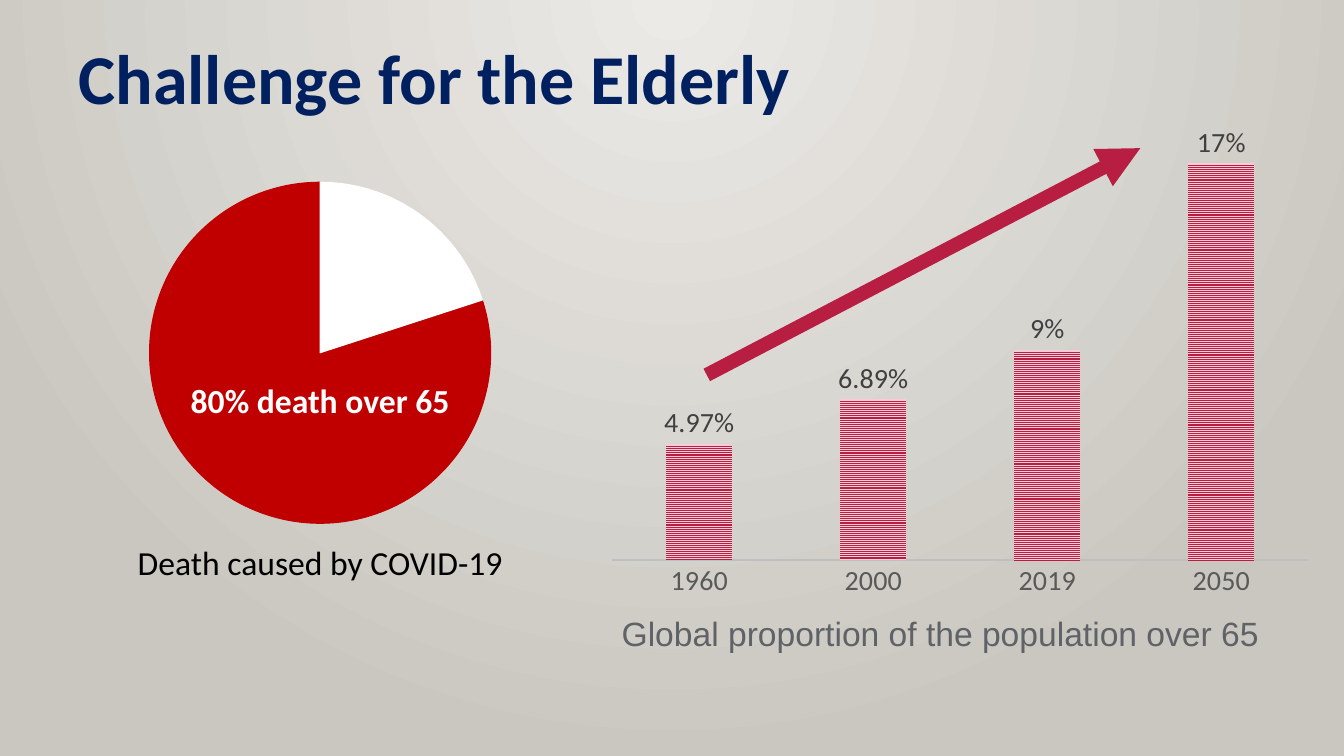
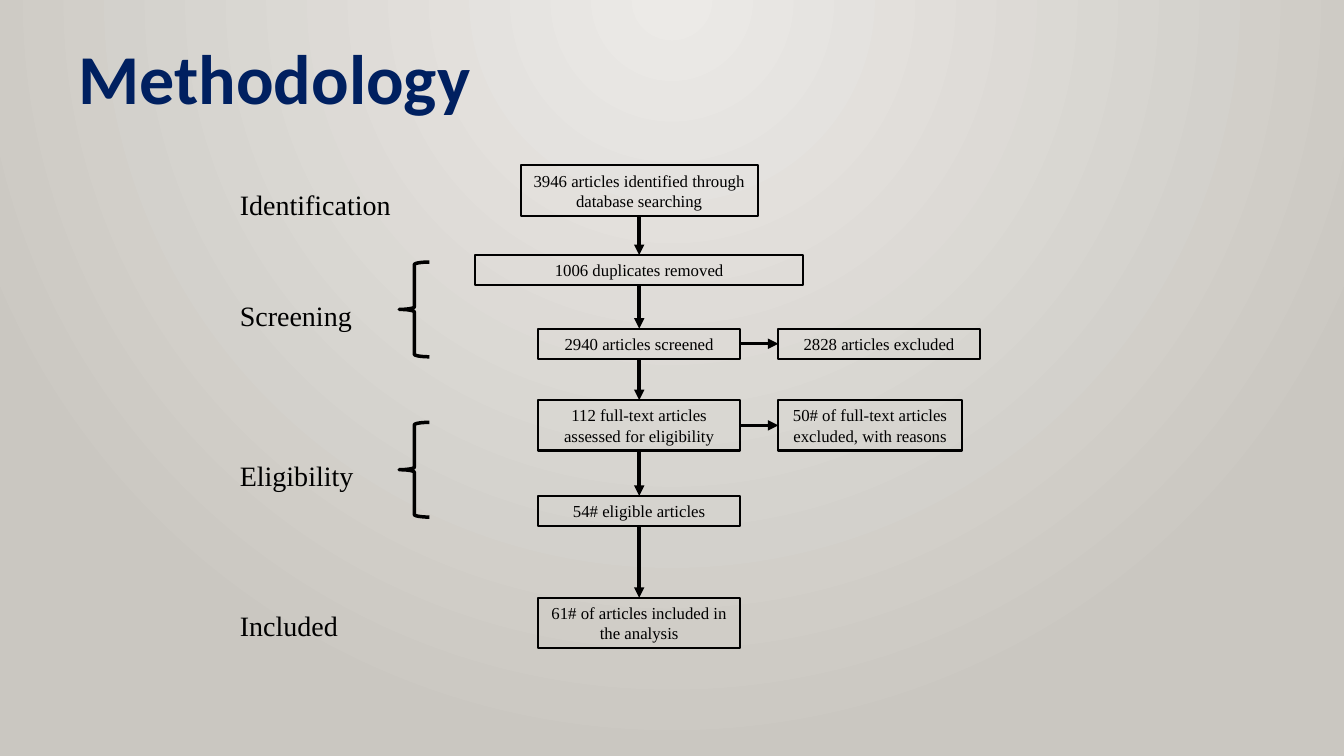
from lxml.etree import SubElement
from pptx import Presentation
from pptx.chart.data import CategoryChartData
from pptx.dml.color import RGBColor
from pptx.enum.chart import XL_CHART_TYPE as CT, XL_LABEL_POSITION as LP, XL_TICK_MARK as TM
from pptx.enum.dml import MSO_PATTERN
from pptx.enum.shapes import MSO_CONNECTOR, MSO_SHAPE
from pptx.enum.text import MSO_ANCHOR, PP_ALIGN
from pptx.oxml.ns import qn
from pptx.util import Inches, Pt

BLACK = RGBColor(0, 0, 0)
WHITE = RGBColor(255, 255, 255)
NAVY = RGBColor(0x00, 0x20, 0x60)
RED = RGBColor(0xC0, 0x00, 0x00)
CRIMSON = RGBColor(0xB7, 0x1E, 0x42)
PINK = RGBColor(0xF7, 0xCC, 0xD6)
SLATE = RGBColor(0x5F, 0x62, 0x66)
AXIS_TEXT = RGBColor(0x59, 0x59, 0x59)
AXIS_LINE = RGBColor(0xBF, 0xBF, 0xBF)
LABEL_TEXT = RGBColor(0x40, 0x40, 0x40)
BG_CENTRE = RGBColor(0xEC, 0xEA, 0xE7)
BG_EDGE = RGBColor(0xCA, 0xC7, 0xC1)
SANS, SERIF = "Calibri", "Times New Roman"


def style_font(font, size, color, name=SANS, bold=False):
    font.size, font.name, font.bold = Pt(size), name, bold
    font.color.rgb = color


def write(sp, text, align=PP_ALIGN.LEFT, anchor=MSO_ANCHOR.TOP, **fmt):
    tf = sp.text_frame
    tf.word_wrap = True
    tf.vertical_anchor = anchor
    p = tf.paragraphs[0]
    p.alignment = align
    r = p.add_run()
    r.text = text
    style_font(r.font, **fmt)


def box(left, top, width, height):
    return [Inches(v) for v in (left, top, width, height)]


class Deck:
    def __init__(self):
        self.prs = Presentation()
        self.prs.slide_width, self.prs.slide_height = Inches(13.33), Inches(7.5)
        self.s = None
        self.paint_background()

    def paint_background(self):
        master = self.prs.slide_master
        fill = master.background.fill
        fill.gradient()
        for stop, pos, color in zip(fill.gradient_stops, (0, 1), (BG_CENTRE, BG_EDGE)):
            stop.position = pos
            stop.color.rgb = color
        grad = master.element.xpath(".//p:bg//a:gradFill")[0]
        grad.remove(grad.find(qn("a:lin")))
        circle = SubElement(grad, qn("a:path"), path="circle")
        SubElement(circle, qn("a:fillToRect"), l="43000", t="0", r="43000", b="100000")

    def slide(self, title):
        self.s = self.prs.slides.add_slide(self.prs.slide_layouts[5])
        sp = self.s.shapes.title
        sp.left, sp.top, sp.width, sp.height = box(0.68, 0.29, 11.97, 0.94)
        write(sp, title, size=50, color=NAVY, bold=True)

    def text(self, text, at, **fmt):
        write(self.s.shapes.add_textbox(*box(*at)), text, **fmt)

    def shape(self, kind, at, weight):
        sp = self.s.shapes.add_shape(kind, *box(*at))
        sp.shadow.inherit = False
        sp.fill.background()
        sp.line.color.rgb = BLACK
        sp.line.width = Pt(weight)
        return sp

    def step(self, text, center, top, width, height):
        sp = self.shape(MSO_SHAPE.RECTANGLE, (center - width / 2, top, width, height), 1.5)
        write(sp, text, align=PP_ALIGN.CENTER, anchor=MSO_ANCHOR.MIDDLE,
              size=12, color=BLACK, name=SERIF)
        return sp

    def arrow(self, start=(0, 0), end=(0, 0), color=BLACK, weight=2.5):
        c = self.s.shapes.add_connector(
            MSO_CONNECTOR.STRAIGHT, *[Inches(v) for v in (*start, *end)])
        c.line.color.rgb = color
        c.line.width = Pt(weight)
        SubElement(c.line._get_or_add_ln(), qn("a:tailEnd"), type="triangle")
        SubElement(c.element.spPr, qn("a:effectLst"))
        return c

    def link(self, source, target, sites):
        c = self.arrow()
        c.begin_connect(source, sites[0])
        c.end_connect(target, sites[1])

    def chart(self, kind, at, cats, vals):
        data = CategoryChartData()
        data.categories = cats
        data.add_series("Series 1", vals)
        chart = self.s.shapes.add_chart(kind, *box(*at), data).chart
        chart.has_title = chart.has_legend = False
        style_font(chart.font, 20, AXIS_TEXT)
        return chart

    def pie(self, at, vals, colors, angle):
        chart = self.chart(CT.PIE, at, [str(i + 1) for i in range(len(vals))], vals)
        plot = chart.plots[0]
        for i, color in enumerate(colors):
            fmt = plot.series[0].points[i].format
            fmt.fill.solid()
            fmt.fill.fore_color.rgb = color
            fmt.line.color.rgb = color
            fmt.line.width = Pt(0.75)
        pie = chart.element.xpath(".//c:pieChart")[0]
        SubElement(pie, qn("c:firstSliceAng"), val=str(angle))

    def columns(self, at, cats, vals, top):
        chart = self.chart(CT.COLUMN_CLUSTERED, at, cats, vals)
        plot = chart.plots[0]
        plot.gap_width, plot.overlap, plot.vary_by_categories = 164, -22, False
        fill = plot.series[0].format.fill
        fill.patterned()
        fill.pattern = MSO_PATTERN.NARROW_HORIZONTAL
        fill.fore_color.rgb, fill.back_color.rgb = CRIMSON, PINK
        plot.has_data_labels = True
        labels = plot.data_labels
        labels.show_value = True
        labels.position = LP.OUTSIDE_END
        labels.number_format, labels.number_format_is_linked = 'General"%"', False
        style_font(labels.font, 20, LABEL_TEXT)
        axis = chart.value_axis
        axis.visible = axis.has_major_gridlines = False
        axis.minimum_scale, axis.maximum_scale = 0, top
        axis = chart.category_axis
        axis.major_tick_mark = TM.NONE
        axis.format.line.color.rgb = AXIS_LINE
        axis.format.line.width = Pt(1.5)


def elderly(d):
    d.slide("Challenge for the Elderly")
    d.pie((0.43, 1.67, 5.49, 3.66), (80, 20), (RED, WHITE), 72)
    caption = dict(align=PP_ALIGN.CENTER, size=24)
    d.text("Death caused by COVID-19", (1.05, 5.33, 4.25, 0.5), color=BLACK, **caption)
    d.text("80% death over 65", (1.58, 3.72, 3.19, 0.5), color=WHITE, bold=True, **caption)
    d.columns((5.93, 1.24, 7.19, 4.79), ("1960", "2000", "2019", "2050"),
              (4.97, 6.89, 9, 17), 18)
    d.text("Global proportion of the population over 65", (5.83, 6.03, 6.99, 0.5),
           color=SLATE, name="Arial", **caption)
    d.arrow((7.01, 3.72), (11.31, 1.47), CRIMSON, 10)


def methodology(d):
    d.slide("Methodology")
    main = [d.step(text, 6.34, *size) for text, *size in (
        ("3946 articles identified through database searching", 1.64, 2.35, 0.5),
        ("1006 duplicates removed", 2.53, 3.25, 0.3),
        ("2940 articles screened", 3.26, 2, 0.3),
        ("112 full-text articles assessed for eligibility", 3.97, 2, 0.5),
        ("54# eligible articles", 4.92, 2, 0.3),
        ("61# of articles included in the analysis", 5.93, 2, 0.5),
    )]
    for upper, lower in zip(main, main[1:]):
        d.link(upper, lower, (2, 0))
    for source, text, top, width, height in (
        (main[2], "2828 articles excluded", 3.26, 2, 0.3),
        (main[3], "50# of full-text articles excluded, with reasons", 3.97, 1.82, 0.5),
    ):
        side = d.step(text, 7.72 + width / 2, top, width, height)
        d.link(source, side, (3, 1))
    for stage, top in (("Identification", 1.81), ("Screening", 2.91),
                       ("Eligibility", 4.5), ("Included", 5.99)):
        d.text(stage, (2.28, top, 1.8, 0.44), size=20, color=BLACK, name=SERIF)
    for top in (2.6, 4.19):
        d.shape(MSO_SHAPE.LEFT_BRACE, (3.96, top, 0.3, 0.94), 2.5)


def main():
    d = Deck()
    elderly(d)
    methodology(d)
    d.prs.save("out.pptx")


if __name__ == "__main__":
    main()
